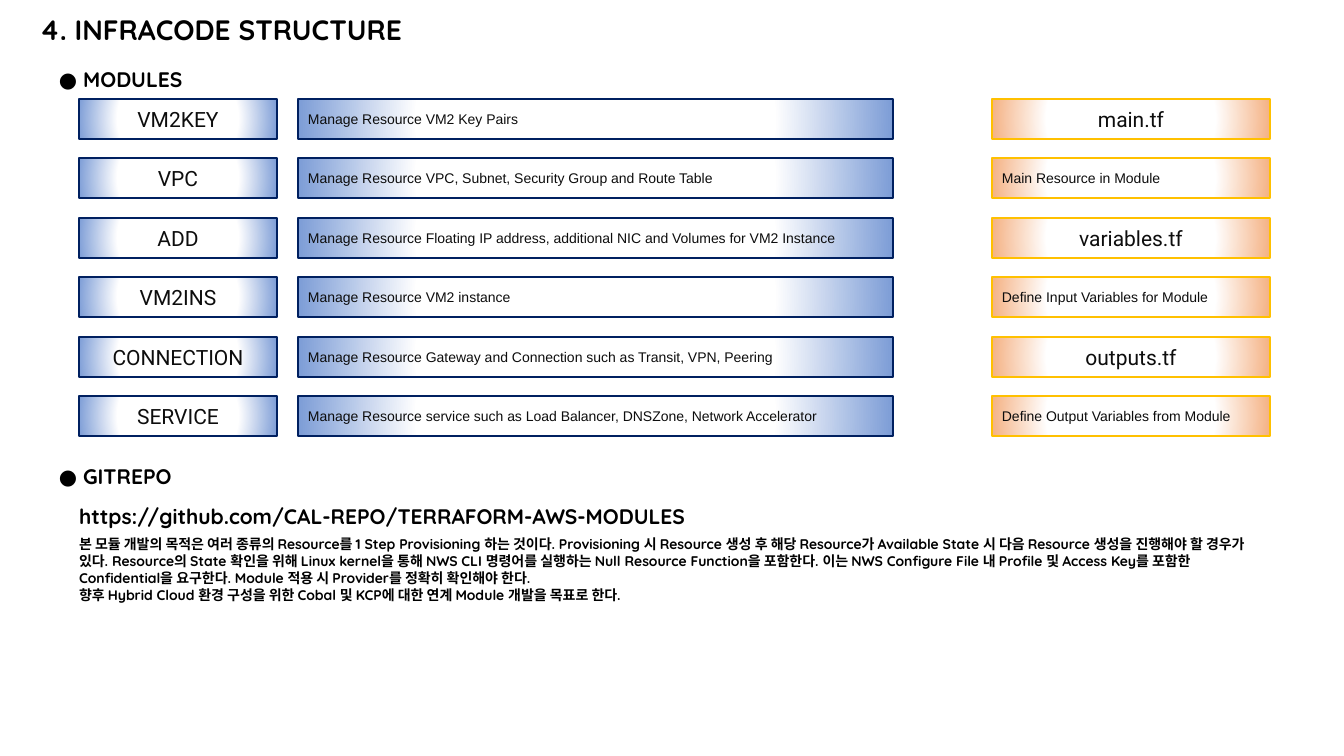
from pptx import Presentation
from pptx.dml.color import RGBColor
from pptx.enum.shapes import MSO_SHAPE
from pptx.enum.text import MSO_ANCHOR, PP_ALIGN
from pptx.oxml import parse_xml
from pptx.oxml.ns import nsdecls, qn
from pptx.util import Emu, Pt

MODULES = [
    ("VM2KEY", "Manage Resource VM2 Key Pairs"),
    ("VPC", "Manage Resource VPC, Subnet, Security Group and Route Table"),
    ("ADD", "Manage Resource Floating IP address, additional NIC and Volumes for VM2 Instance"),
    ("VM2INS", "Manage Resource VM2 instance"),
    ("CONNECTION", "Manage Resource Gateway and Connection such as Transit, VPN, Peering"),
    ("SERVICE", "Manage Resource service such as Load Balancer, DNSZone, Network Accelerator"),
]
FILES = [
    ("main.tf", "Main Resource in Module"),
    ("variables.tf", "Define Input Variables for Module"),
    ("outputs.tf", "Define Output Variables from Module"),
]
PURPOSE = [
    "본 모듈 개발의 목적은 여러 종류의 Resource를 1 Step Provisioning 하는 것이다. "
    "Provisioning 시 Resource 생성 후 해당 Resource가 Available State 시 다음 Resource 생성을 "
    "진행해야 할 경우가 있다. Resource의 State 확인을 위해 Linux kernel을 통해 NWS CLI 명령어를 "
    "실행하는 Null Resource Function을 포함한다. 이는 NWS Configure File 내 Profile 및 "
    "Access Key를 포함한 Confidential을 요구한다. Module 적용 시 Provider를 정확히 확인해야 한다.",
    "향후 Hybrid Cloud 환경 구성을 위한 Cobal 및 KCP에 대한 연계 Module 개발을 목표로 한다.",
]
BLUE = ("7C9CD6", "002060")
ORANGE = ("F4B183", "FFC000")
BOX_H = 40


def px(n):
    """Turn pixels into EMU."""
    return Emu(round(n * 914400 / 100.8))


def rgb(value):
    """Turn a hex string into a colour."""
    return RGBColor.from_string(value)


def style(r, font, size, color, bold=False):
    """Format one run."""
    r.font.name = font
    r.font.size = Pt(size)
    r.font.bold = bold
    r.font.color.rgb = rgb(color)


def add_text(slide, x, y, w, h, lines, size, anchor=MSO_ANCHOR.MIDDLE):
    """Add a bold text box without margins, one paragraph per line."""
    tf = slide.shapes.add_textbox(px(x), px(y), px(w), px(h)).text_frame
    tf.word_wrap = True
    tf.vertical_anchor = anchor
    tf.margin_left = tf.margin_top = tf.margin_right = tf.margin_bottom = 0
    tf.text = "\n".join(lines)
    for p in tf.paragraphs:
        style(p.runs[0], "Quicksand", size, "000000", True)
    return tf


def add_heading(slide, y, text):
    """Add a section heading with a round marker."""
    p = add_text(slide, 59, y, 1200, BOX_H, ["●"], 15).paragraphs[0]
    p.runs[0].font.name = "Cambria"
    r = p.add_run()
    r.text = f" {text}"
    style(r, "Quicksand", 15, "000000", True)


def fill_glow(s, edge):
    """Fill a shape with white that fades radially to the edge colour."""
    s.fill.gradient()
    grad = s._element.spPr.find(qn("a:gradFill"))
    stops = "".join(
        f'<a:gs pos="{pos * 1000}"><a:srgbClr val="{color}"/></a:gs>'
        for pos, color in ((0, "FFFFFF"), (60, "FFFFFF"), (100, edge))
    )
    glow = parse_xml(
        f'<a:gradFill {nsdecls("a")} rotWithShape="1"><a:gsLst>{stops}</a:gsLst>'
        '<a:path path="circle"><a:fillToRect l="50000" t="50000" r="50000" b="50000"/></a:path>'
        "</a:gradFill>"
    )
    grad.getparent().replace(grad, glow)


def add_box(slide, x, row, w, text, colors, is_name, line_width=1):
    """Add a name or description box on a row of the grid."""
    y = 99 + row * 119 // 2
    s = slide.shapes.add_shape(MSO_SHAPE.RECTANGLE, px(x), px(y), px(w), px(BOX_H))
    s.shadow.inherit = False
    edge, line = colors
    fill_glow(s, edge)
    s.line.color.rgb = rgb(line)
    s.line.width = Pt(line_width)
    tf = s.text_frame
    tf.word_wrap = True
    tf.vertical_anchor = MSO_ANCHOR.MIDDLE
    tf.text = text
    p = tf.paragraphs[0]
    p.alignment = PP_ALIGN.CENTER if is_name else PP_ALIGN.LEFT
    font, size = ("Roboto", 15) if is_name else ("Arial", 10)
    style(p.runs[0], font, size, "0D0D0D")


def main():
    """Build the slide and save it."""
    prs = Presentation()
    prs.slide_width, prs.slide_height = px(1344), px(756)
    slide = prs.slides.add_slide(prs.slide_layouts[6])
    add_text(slide, 40, 0, 1270, 59, ["4. INFRACODE STRUCTURE"], 20)
    add_heading(slide, 59, "MODULES")
    for row, (name, description) in enumerate(MODULES):
        add_box(slide, 79, row, 198, name, BLUE, True)
        add_box(slide, 298, row, 595, description, BLUE, False)
    for i, (name, description) in enumerate(FILES):
        add_box(slide, 992, 2 * i, 278, name, ORANGE, True)
        add_box(slide, 992, 2 * i + 1, 278, description, ORANGE, False, 1.5)
    add_heading(slide, 456, "GITREPO")
    url = "https://github.com/CAL-REPO/TERRAFORM-AWS-MODULES"
    add_text(slide, 79, 496, 1191, BOX_H, [url], 15)
    add_text(slide, 79, 536, 1191, 20, PURPOSE, 10, MSO_ANCHOR.TOP)
    prs.save("out.pptx")


if __name__ == "__main__":
    main()
